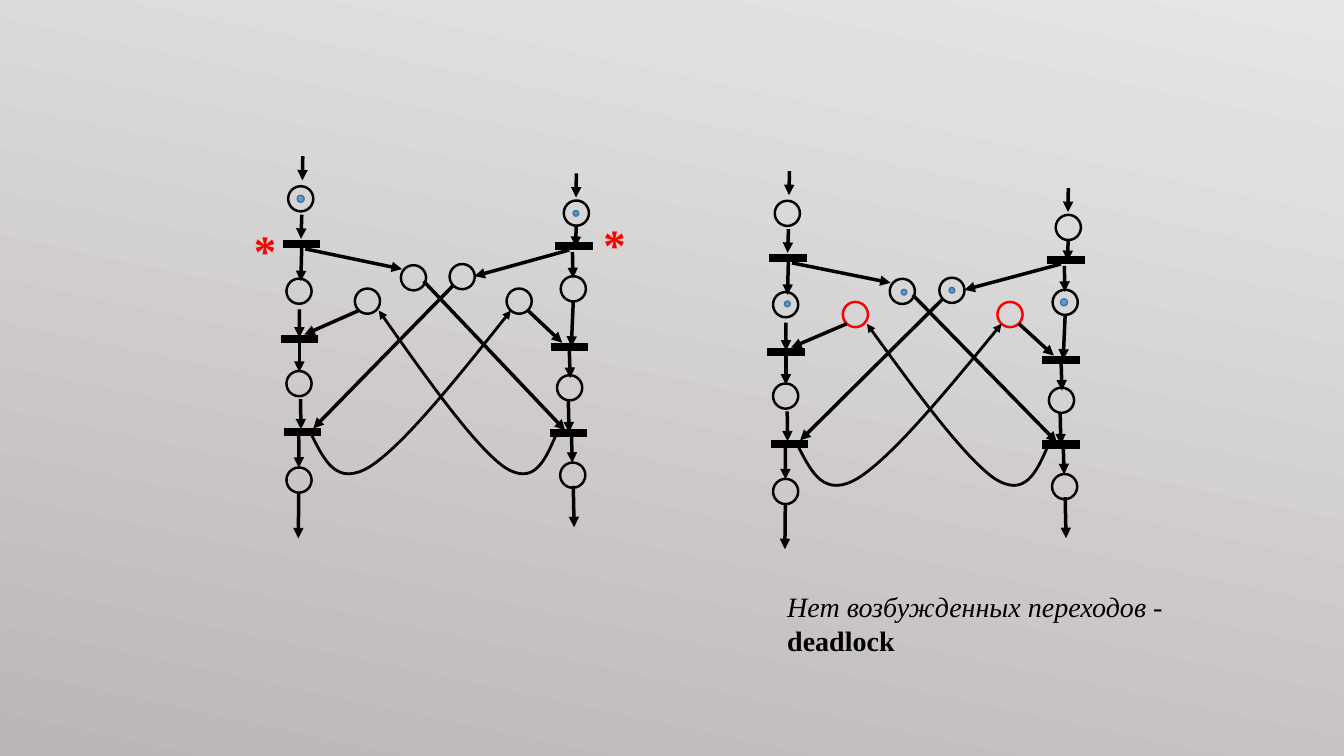
from lxml import etree
from pptx import Presentation
from pptx import util as u
from pptx.dml.color import RGBColor
from pptx.enum import shapes as kinds
from pptx.oxml.ns import qn

BLACK, RED = "000000", "FF0000"
NET_WIDTH, NET_HEIGHT = 222.5, 273
PLACE_SIZE, BAR_LENGTH = 18, 26.5
CURVE_BOTTOM = 227.5

PLACES = {
    "left 1": (14, 30.4), "left 2": (12.8, 96.4),
    "left 3": (12.8, 162.4), "left 4": (12.8, 231.3),
    "right 1": (211, 40.6), "right 2": (208.8, 94.7),
    "right 3": (206.2, 165.4), "right 4": (208.4, 227.8),
    "message left": (94.6, 86.8), "message right": (129.4, 86),
    "resource left": (61.7, 103.5), "resource right": (170.1, 103.5),
}
TRANSITIONS = [(14.5, 62.4), (13.1, 130.7), (15.6, 196.8),
               (209.3, 64.2), (206, 136.6), (205.7, 197.4)]
LEFT_ARCS = [
    (15.5, 0, 15.2, 17.3), (14.8, 41.8, 14.2, 59), (14.8, 62.6, 14.1, 89.3),
    (13, 109.4, 13.1, 129.6), (13, 133.2, 13, 154.1), (13.9, 173.5, 14.2, 195.1),
    (12.6, 195.8, 12.7, 222.5), (12.6, 240.5, 12.3, 273),
]
RIGHT_ARCS = [
    (211, 12.2, 210.8, 29.5), (210.9, 49, 210.5, 64.8), (208.2, 68.4, 208.6, 87.1),
    (208.8, 103.7, 207.4, 136.1), (205.9, 136.8, 206.6, 158.4),
    (205.3, 175, 205.8, 197.3), (207.5, 199.4, 208.1, 218.9),
    (208.8, 235.4, 209.4, 265),
]
CROSS_ARCS = [
    (17.3, 66.2, 86.4, 80.6), (205.9, 67, 138.2, 85.7),
    (101.9, 89.3, 203, 195.8), (123.1, 92.2, 23, 194.4),
    (176.4, 110.2, 200.9, 133.2), (55.6, 110.2, 16.6, 127.4),
]
RETURN_CURVES = [
    [(21.6, 198.7), (31, 217.4), (39.6, 236.2), (63.4, 221.8),
     (87.1, 206.6), (126, 158.4), (164.2, 110.2)],
    [(196.6, 198.7), (188.6, 217.4), (180.7, 236.2), (159.1, 221.8),
     (138.2, 206.6), (103.7, 158.4), (69.8, 110.2)],
]


def color(value):
    """Turn a hex string into a colour."""
    return RGBColor.from_string(value)


def style_line(shape, hue, width, arrow=False):
    """Set the line of a shape and, if asked, an arrowhead at its end."""
    shape.line.color.rgb = color(hue)
    shape.line.width = u.Pt(width)
    if arrow:
        etree.SubElement(shape.line._get_or_add_ln(), qn("a:tailEnd"), type="triangle")


def add_line(slide, start, end, width, arrow=False):
    """Draw a straight black line."""
    line = slide.shapes.add_connector(
        kinds.MSO_CONNECTOR.STRAIGHT, *(u.Pt(n) for n in (*start, *end)))
    style_line(line, BLACK, width, arrow)
    etree.SubElement(line._element.spPr, qn("a:effectLst"))


def add_circle(slide, center, size, hue, width, fill=None):
    """Draw a circle around a centre."""
    x, y = center
    circle = slide.shapes.add_shape(
        kinds.MSO_SHAPE.OVAL, u.Pt(x - size / 2), u.Pt(y - size / 2), u.Pt(size), u.Pt(size))
    circle.shadow.inherit = False
    if fill:
        circle.fill.solid()
        circle.fill.fore_color.rgb = color(fill)
    else:
        circle.fill.background()
    style_line(circle, hue, width)


def add_curve(slide, controls, bottom):
    """Draw an open cubic curve with an arrowhead, reaching down to bottom."""
    start, lowest, end = controls[0], (controls[3][0], bottom), controls[-1]
    builder = slide.shapes.build_freeform(*(u.Pt(n) for n in start))
    builder.add_line_segments(
        [(u.Pt(x), u.Pt(y)) for x, y in (lowest, end)], close=False)
    curve = builder.convert_to_shape()
    outline = next(curve._element.iter(qn("a:moveTo"))).getparent()
    for segment in outline.findall(qn("a:lnTo")):
        outline.remove(segment)
    for i in range(1, len(controls), 3):
        cubic = etree.SubElement(outline, qn("a:cubicBezTo"))
        for x, y in controls[i:i + 3]:
            etree.SubElement(cubic, qn("a:pt"), x=str(u.Pt(x) - curve.left),
                             y=str(u.Pt(y) - curve.top))
    curve.shadow.inherit = False
    curve.fill.background()
    style_line(curve, BLACK, 2, arrow=True)


def add_net(slide, left, top, width, height, tokens, blocked=()):
    """Draw the Petri net in a box, with tokens (size, dx, dy) and blocked places."""
    def at(x, y):
        """Map a point of the net into the box."""
        return left + x * width / NET_WIDTH, top + y * height / NET_HEIGHT

    for name, center in PLACES.items():
        add_circle(slide, at(*center), PLACE_SIZE, RED if name in blocked else BLACK, 1.75)
    for x, y in TRANSITIONS:
        add_line(slide, at(x - BAR_LENGTH / 2, y), at(x + BAR_LENGTH / 2, y), 5.75)
    for x1, y1, x2, y2 in LEFT_ARCS + RIGHT_ARCS + CROSS_ARCS:
        add_line(slide, at(x1, y1), at(x2, y2), 2.5, arrow=True)
    for controls in RETURN_CURVES:
        add_curve(slide, [at(*point) for point in controls], at(0, CURVE_BOTTOM)[1])
    for name, (size, dx, dy) in tokens.items():
        x, y = PLACES[name]
        add_circle(slide, at(x + dx, y + dy), size, "41719C", 1, "5B9BD5")


def add_caption(slide, left, top, width, height, runs, size, hue):
    """Write one paragraph of (text, bold, italic) runs in a box."""
    frame = slide.shapes.add_textbox(*(u.Pt(n) for n in (left, top, width, height))).text_frame
    frame.word_wrap = True
    paragraph = frame.paragraphs[0]
    paragraph.font.name = "Times New Roman"
    paragraph.font.size = u.Pt(size)
    paragraph.font.color.rgb = color(hue)
    for words, bold, italic in runs:
        run = paragraph.add_run()
        run.text = words
        run.font.bold, run.font.italic = bold, italic


def paint_background(slide):
    """Fill the background with a grey gradient."""
    fill = slide.background.fill
    fill.gradient()
    fill.gradient_angle = 258
    for stop, hue in zip(fill.gradient_stops, ("E7E6E6", "BCB7B7")):
        stop.color.rgb = color(hue)


def main():
    """Build the deadlock slide."""
    deck = Presentation()
    deck.slide_width, deck.slide_height = u.Pt(960.5), u.Pt(540)
    slide = deck.slides.add_slide(deck.slide_layouts[6])
    paint_background(slide)
    add_net(slide, 200.9, 111.6, 222.5, 273,
            {"left 1": (5, 0, 0), "right 1": (4, -0.3, 0.2)})
    add_net(slide, 548.4, 122.3, 226.8, 270,
            {"left 2": (4, 1.2, -0.6), "message left": (4, 1.2, 0.6),
             "message right": (4, 0, 0), "right 2": (5, -0.8, 0)},
            blocked=("resource left", "resource right"))
    for left, top in ((174.4, 155.5), (424.1, 151.2)):
        add_caption(slide, left, top, 26.6, 46, [("*", True, False)], 32, RED)
    add_caption(slide, 555.5, 417.6, 298.8, 55.4,
                [("Нет возбужденных переходов -", False, True), (" deadlock", True, False)],
                20, BLACK)
    deck.save("out.pptx")


if __name__ == "__main__":
    main()
